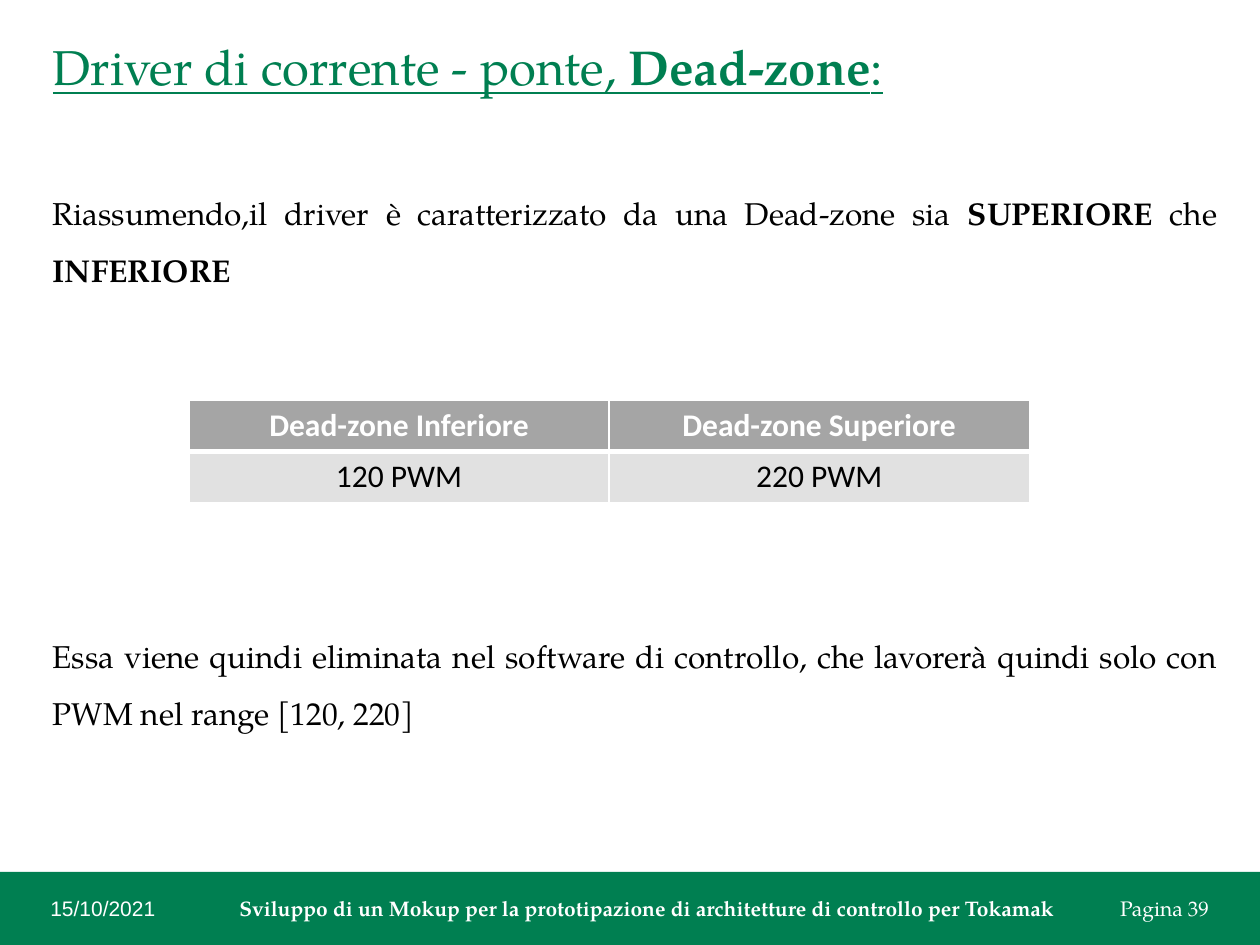
from dataclasses import dataclass

from lxml import etree
from pptx import Presentation
from pptx.dml.color import RGBColor
from pptx.enum import shapes, text
from pptx.oxml import ns
from pptx.util import Inches, Pt

GREEN = RGBColor(0x00, 0x7F, 0x51)
WHITE = RGBColor(0xFF, 0xFF, 0xFF)
BLACK = RGBColor(0x00, 0x00, 0x00)
HEADER_GREY = RGBColor(0xA5, 0xA5, 0xA5)
ROW_GREY = RGBColor(0xE1, 0xE1, 0xE1)
SERIF = "TeX Gyre Pagella"


@dataclass(frozen=True)
class Span:
    text: str
    bold: bool = False
    font: str = SERIF


@dataclass(frozen=True)
class Statement:
    top: float
    spans: tuple[Span, ...]


@dataclass(frozen=True)
class RowStyle:
    fill: RGBColor
    color: RGBColor
    bold: bool
    bottom_border: float


TITLE = (Span("Driver di corrente - ponte, "), Span("Dead-zone", bold=True), Span(":"))
STATEMENTS = (
    Statement(1.34, (
        Span("Riassumendo,il driver è caratterizzato da una Dead-zone sia "),
        Span("SUPERIORE", bold=True),
        Span(" che "),
        Span("INFERIORE", bold=True),
    )),
    Statement(4.86, (
        Span("Essa viene quindi eliminata nel software di controllo, "
             "che lavorerà quindi solo con PWM nel range [120, 220]"),
    )),
)
DEAD_ZONES = (
    ("Dead-zone Inferiore", "Dead-zone Superiore"),
    ("120 PWM", "220 PWM"),
)
ROW_STYLES = (
    RowStyle(HEADER_GREY, WHITE, True, 3),
    RowStyle(ROW_GREY, BLACK, False, 1),
)
FOOTER = (
    Span("15/10/2021\t", font="Arial"),
    Span("Sviluppo di un Mokup per la prototipazione di architetture "
         "di controllo per Tokamak\t", bold=True),
    Span("Pagina 39"),
)
FOOTER_TABS = (1.5, 8.49)


def write_spans(para, spans: tuple[Span, ...], size: float, color: RGBColor,
                underline: bool | None = None) -> None:
    for span in spans:
        run = para.add_run()
        run.text = span.text
        run.font.name = span.font
        run.font.size = Pt(size)
        run.font.bold = span.bold
        run.font.underline = underline
        run.font.color.rgb = color


def add_title(page) -> None:
    title = page.shapes.title
    title.left, title.top = Inches(0.32), Inches(0.24)
    title.width, title.height = Inches(6.81), Inches(0.57)
    frame = title.text_frame
    frame.word_wrap = True
    frame.auto_size = text.MSO_AUTO_SIZE.NONE
    frame.vertical_anchor = text.MSO_ANCHOR.TOP
    para = frame.paragraphs[0]
    para.alignment = text.PP_ALIGN.LEFT
    write_spans(para, TITLE, 28, GREEN, underline=True)


def add_statement(page, statement: Statement) -> None:
    box = page.shapes.add_textbox(Inches(0.32), Inches(statement.top),
                                  Inches(9.44), Inches(0.96))
    box.text_frame.word_wrap = True
    para = box.text_frame.paragraphs[0]
    para.alignment = text.PP_ALIGN.JUSTIFY
    para.line_spacing = 1.5
    write_spans(para, statement.spans, 18, BLACK)


def set_borders(cell, bottom: float) -> None:
    """Draw white cell borders, 1 pt except at the bottom."""
    properties = cell._tc.get_or_add_tcPr()
    widths = {"a:lnL": 1, "a:lnR": 1, "a:lnT": 1, "a:lnB": bottom}
    for tag, width in widths.items():
        line = etree.SubElement(properties, ns.qn(tag), w=str(Pt(width)))
        fill = etree.SubElement(line, ns.qn("a:solidFill"))
        etree.SubElement(fill, ns.qn("a:srgbClr"), val=str(WHITE))


def add_dead_zone_table(page) -> None:
    frame = page.shapes.add_table(len(DEAD_ZONES), len(DEAD_ZONES[0]), Inches(1.5),
                                  Inches(3.18), Inches(6.67), Inches(0.81))
    for row, (values, style) in enumerate(zip(DEAD_ZONES, ROW_STYLES)):
        for column, value in enumerate(values):
            cell = frame.table.cell(row, column)
            set_borders(cell, style.bottom_border)
            cell.fill.solid()
            cell.fill.fore_color.rgb = style.fill
            para = cell.text_frame.paragraphs[0]
            para.alignment = text.PP_ALIGN.CENTER
            write_spans(para, (Span(value, style.bold, "Calibri"),), 18, style.color)


def add_footer(page) -> None:
    bar = page.shapes.add_shape(shapes.MSO_SHAPE.RECTANGLE, 0, Inches(6.92),
                                Inches(10), Inches(0.58))
    bar.shadow.inherit = False
    bar.fill.solid()
    bar.fill.fore_color.rgb = GREEN
    bar.line.fill.background()
    frame = bar.text_frame
    frame.word_wrap = True
    frame.margin_left = Inches(0.4)
    frame.vertical_anchor = text.MSO_ANCHOR.MIDDLE
    para = frame.paragraphs[0]
    para.alignment = text.PP_ALIGN.LEFT
    tabs = etree.SubElement(para._p.get_or_add_pPr(), ns.qn("a:tabLst"))
    for position in FOOTER_TABS:
        etree.SubElement(tabs, ns.qn("a:tab"), pos=str(Inches(position)), algn="l")
    write_spans(para, FOOTER, 12, WHITE)


def main() -> None:
    deck = Presentation()
    deck.slide_width, deck.slide_height = Inches(10), Inches(7.5)
    title_only = deck.slide_layouts[5]
    page = deck.slides.add_slide(title_only)
    add_title(page)
    for statement in STATEMENTS:
        add_statement(page, statement)
    add_dead_zone_table(page)
    add_footer(page)
    deck.save("out.pptx")


if __name__ == "__main__":
    main()
